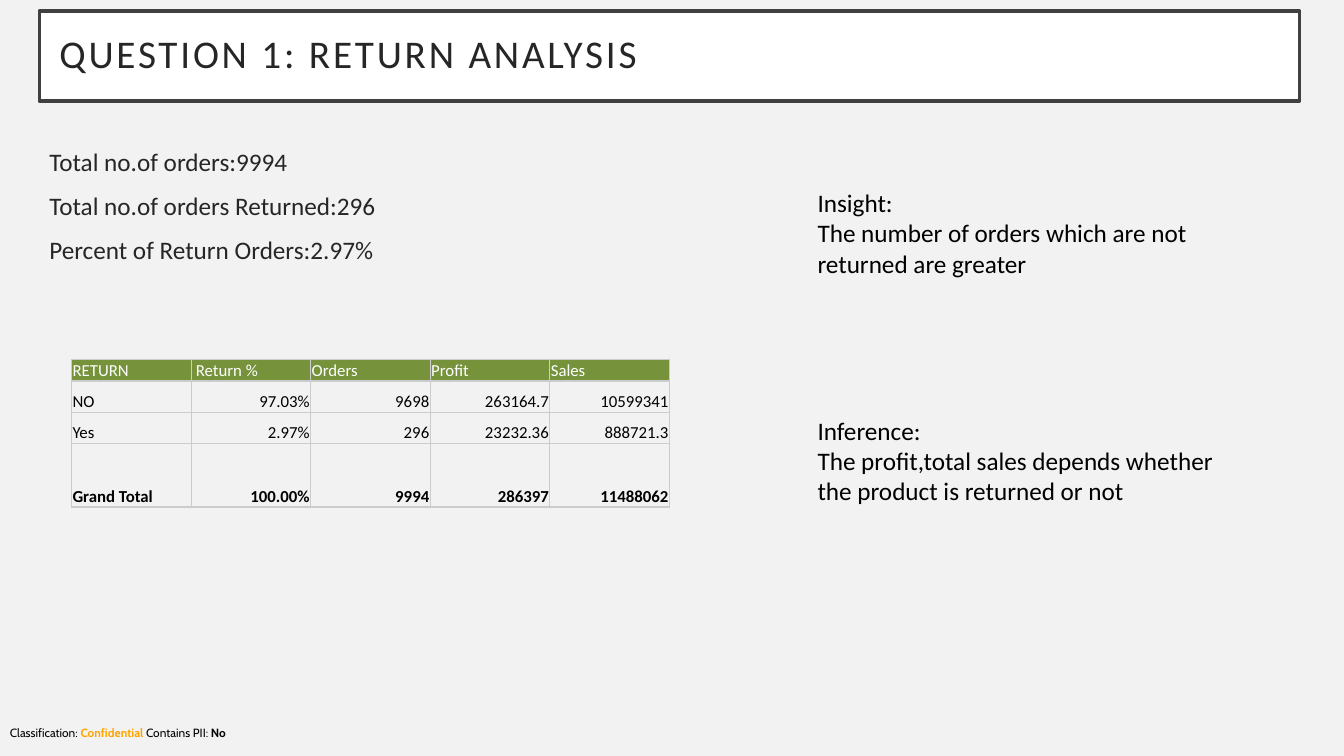
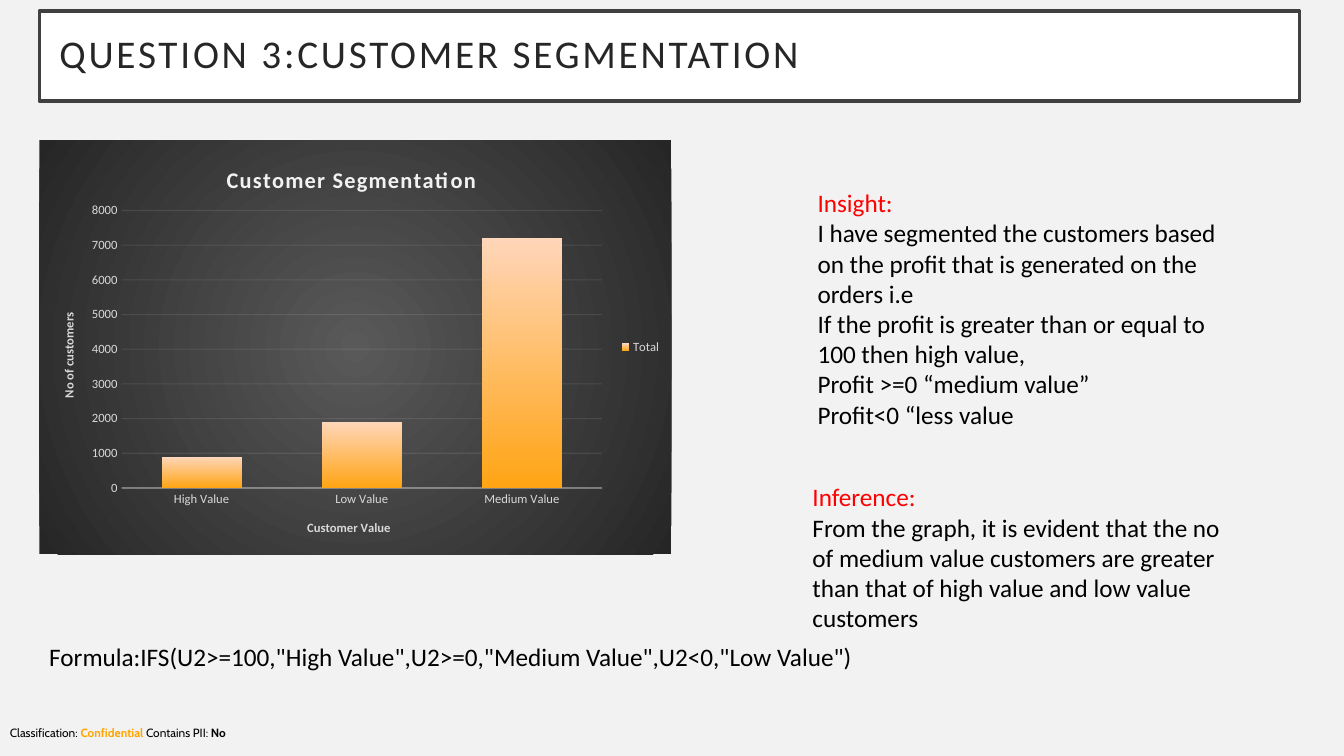
from lxml.etree import SubElement as Sub
from pptx import Presentation
from pptx.chart.data import CategoryChartData as Data
from pptx.dml.color import RGBColor as Rgb
from pptx.enum.chart import XL_CHART_TYPE as Kind, XL_LEGEND_POSITION as Side, XL_TICK_MARK as Tick
from pptx.enum.shapes import MSO_SHAPE as Shape
from pptx.enum.text import MSO_ANCHOR as Anchor, PP_ALIGN as Align
from pptx.oxml import parse_xml
from pptx.oxml.ns import nsdecls, qn
from pptx.util import Inches, Pt

HUES = {
    "page": "F2F2F2", "white": "FFFFFF", "black": "000000", "ink": "262626",
    "frame": "404040", "amber": "FFA500", "red": "FF0000", "green": "76933C",
    "rule": "CCCCCC", "pale": "D9D9D9", "core": "595959", "low": "FFA414", "high": "FFD6B9",
}
BODY = {"name": "Calibri", "size": Pt(18), "hue": "black"}
TITLE = {**BODY, "size": Pt(28), "hue": "ink"}
FOOT = {**BODY, "name": "Cabin", "size": Pt(8.5), "bold": False}
CELL = {**BODY, "size": Pt(12), "bold": False}
LABEL = {**BODY, "size": Pt(9), "hue": "pale", "bold": False}
PAD = dict(zip(("margin_left", "margin_right", "margin_top", "margin_bottom"),
               map(Inches, (0.01, 0.01, 0.01, 0))))


def hue(name):
    """Return a named colour."""
    return Rgb.from_string(HUES[name])


def assign(obj, form):
    """Set attributes from a dict of values."""
    for key, value in form.items():
        setattr(obj, key, value)


def style(font, form):
    """Apply a text style to a font."""
    assign(font, {k: v for k, v in form.items() if k != "hue"})
    font.color.rgb = hue(form["hue"])


def write(para, text, form):
    """Add one styled run to a paragraph."""
    run = para.add_run()
    run.text = text
    style(run.font, form)
    return run


def text_box(slide, box, lines, form=BODY, head=None, gap=0):
    """Add a text box with one paragraph per line and an optional head colour."""
    frame = slide.shapes.add_textbox(*map(Inches, box)).text_frame
    frame.word_wrap = True
    for i, line in enumerate(lines):
        para = frame.paragraphs[0] if i == 0 else frame.add_paragraph()
        para.space_before = Pt(gap if i else 0)
        write(para, line, {**form, "hue": head} if head and i == 0 else form)
    return frame


def title_bar(slide, box, text):
    """Draw the framed title band."""
    bar = slide.shapes.add_shape(Shape.RECTANGLE, *map(Inches, box))
    bar.shadow.inherit = False
    bar.fill.solid()
    bar.fill.fore_color.rgb = hue("white")
    bar.line.color.rgb = hue("frame")
    bar.line.width = Pt(2.5)
    frame = bar.text_frame
    assign(frame, {**dict.fromkeys(PAD, Inches(0.2)),
                   "vertical_anchor": Anchor.MIDDLE, "word_wrap": True})
    para = frame.paragraphs[0]
    assign(para, {"alignment": Align.LEFT, "line_spacing": 0.9})
    run = write(para, text, TITLE)
    run.font._element.set("spc", "200")


def footer(slide, box):
    """Write the classification line."""
    para = text_box(slide, box, ["Classification: "], FOOT).paragraphs[0]
    write(para, "Confidential", {**FOOT, "hue": "amber", "bold": True})
    write(para, " Contains PII: ", FOOT)
    write(para, "No", {**FOOT, "bold": True})


def new_slide(deck, title):
    """Add a slide with the shared ground, footer and title."""
    slide = deck.slides.add_slide(deck.slide_layouts[6])
    footer(slide, (0, 7.15, 13.33, 0.24))
    title_bar(slide, (0.39, 0.11, 12.5, 0.89), title)
    return slide


def border(cell):
    """Rule all four sides of a cell."""
    prop = cell._tc.get_or_add_tcPr()
    for side in "LRTB":
        line = Sub(prop, qn(f"a:ln{side}"), w=str(Pt(1)))
        Sub(Sub(line, qn("a:solidFill")), qn("a:srgbClr"), val=HUES["rule"])


def data_table(slide, box, rows, tall):
    """Add a ruled table with a green head and a bold last row."""
    grid = slide.shapes.add_table(len(rows), len(rows[0]), *map(Inches, box)).table
    assign(grid, {"first_row": False, "horz_banding": False})
    for col in grid.columns:
        col.width = Inches(box[2] / len(rows[0]))
    for r, row in enumerate(rows):
        grid.rows[r].height = Inches(tall[r])
        for c, text in enumerate(row):
            cell = grid.cell(r, c)
            assign(cell, {**PAD, "vertical_anchor": Anchor.BOTTOM})
            border(cell)
            if r == 0:
                cell.fill.solid()
                cell.fill.fore_color.rgb = hue("green")
            else:
                cell.fill.background()
            para = cell.text_frame.paragraphs[0]
            para.alignment = Align.RIGHT if r and c else Align.LEFT
            write(para, text, {**CELL, "hue": "black" if r else "white",
                               "bold": r == len(rows) - 1})


def place(part, index, **spots):
    """Give a chart part a manual layout in fractions of the chart."""
    old = part.find(qn("c:layout"))
    if old is not None:
        part.remove(old)
    inner = "" if index else '<c:layoutTarget val="inner"/>'
    modes = "".join(f'<c:{k}Mode val="edge"/>' for k in "xy")
    sizes = "".join(f'<c:{k} val="{v}"/>' for k, v in spots.items())
    part.insert(index, parse_xml(
        f'<c:layout {nsdecls("c")}><c:manualLayout>{inner}{modes}{sizes}'
        '</c:manualLayout></c:layout>'))


def fade(line, name, width, alpha):
    """Draw a line in a see-through colour."""
    line.color.rgb = hue(name)
    line.width = Pt(width)
    for tone in line._ln.iter(qn("a:srgbClr")):
        Sub(tone, qn("a:alpha"), val=str(alpha * 1000))


def caption(owner, text, form):
    """Title a chart or an axis."""
    frame = (owner.chart_title if hasattr(owner, "chart_title") else owner.axis_title).text_frame
    return write(frame.paragraphs[0], text, form)


def ground(chart):
    """Fill the chart area with a round gradient."""
    stops = "".join(f'<a:gs pos="{pos}"><a:srgbClr val="{HUES[name]}"/></a:gs>'
                    for pos, name in ((0, "core"), (100000, "ink")))
    chart.element.find(qn("c:chart")).addnext(parse_xml(
        f'<c:spPr {nsdecls("c", "a")}><a:gradFill><a:gsLst>{stops}</a:gsLst>'
        '<a:path path="circle"><a:fillToRect l="50000" t="50000" r="50000" b="50000"/>'
        '</a:path></a:gradFill><a:ln><a:noFill/></a:ln></c:spPr>'))


def bar_chart(slide, box, names, values):
    """Add the column chart on its dark ground."""
    data = Data()
    data.categories = names
    data.add_series("Total", values)
    chart = slide.shapes.add_chart(Kind.COLUMN_CLUSTERED, *map(Inches, box), data).chart
    style(chart.font, LABEL)
    ground(chart)
    plot = chart.plots[0]
    assign(plot, {"gap_width": 100, "overlap": -24, "vary_by_categories": False})
    fill = plot.series[0].format.fill
    fill.gradient()
    fill.gradient_angle = 90
    for stop, name in zip(fill.gradient_stops, ("low", "high")):
        stop.color.rgb = hue(name)

    cat, val = chart.category_axis, chart.value_axis
    bold = {**LABEL, "bold": True}
    run = caption(chart, "Customer Segmentation", {**bold, "size": Pt(16), "hue": "page"})
    run.font._element.set("spc", "100")
    for axis, text in ((cat, "Customer Value"), (val, "No of customers")):
        assign(axis, {"major_tick_mark": Tick.NONE, "minor_tick_mark": Tick.NONE})
        style(axis.tick_labels.font, LABEL)
        caption(axis, text, bold)
    assign(val, {"minimum_scale": 0, "maximum_scale": 8000, "major_unit": 1000})
    fade(cat.format.line, "page", 1, 54)
    fade(val.major_gridlines.format.line, "page", 0.75, 10)
    val.format.line.fill.background()

    chart.has_legend = True
    assign(chart.legend, {"position": Side.RIGHT, "include_in_layout": False})
    style(chart.legend.font, LABEL)
    place(next(chart.element.iter(qn("c:plotArea"))), 0, x=0.13, y=0.17, w=0.76, h=0.67)
    spots = ((0.29, 0.05), (0.42, 0.91), (0.03, 0.41))
    for part, (x, y) in zip(chart.element.iter(qn("c:title")), spots):
        place(part, 1, x=x, y=y)


def returns(deck):
    """Build the return analysis slide."""
    slide = new_slide(deck, "QUESTION 1: RETURN ANALYSIS")
    text_box(slide, (0.39, 1.4, 7.45, 4.32), [
        "Total no.of orders:9994",
        "Total no.of orders Returned:296",
        "Percent of Return Orders:2.97%",
    ], {**BODY, "hue": "ink"}, gap=10)
    text_box(slide, (8.01, 1.81, 4.32, 1.31), [
        "Insight:", "The number of orders which are not returned are greater"])
    text_box(slide, (8.01, 4.07, 4.32, 1.62), [
        "Inference:", "The profit,total sales depends whether the product is returned or not"])
    data_table(slide, (0.71, 3.57, 5.93, 1.46), [
        ("RETURN", " Return %", "Orders", "Profit", "Sales"),
        ("NO", "97.03%", "9698", "263164.7", "10599341"),
        ("Yes", "2.97%", "296", "23232.36", "888721.3"),
        ("Grand Total", "100.00%", "9994", "286397", "11488062"),
    ], (0.21, 0.31, 0.31, 0.63))


def segments(deck):
    """Build the customer segmentation slide."""
    slide = new_slide(deck, "QUESTION 3:CUSTOMER SEGMENTATION")
    text_box(slide, (8.01, 1.81, 4.32, 2.83), [
        "Insight:",
        "I have segmented the customers based on the profit that is generated on the orders i.e",
        "If the profit is greater than or equal to 100 then high value,",
        "Profit >=0 “medium value”",
        "Profit<0 “less value",
    ], head="red")
    text_box(slide, (7.96, 4.73, 4.32, 1.92), [
        "Inference:",
        "From the graph, it is evident that the no of medium value customers are greater "
        "than that of high value and low value customers",
    ], head="red")
    text_box(slide, (0.39, 6.31, 12.06, 0.4), [
        'Formula:IFS(U2>=100,"High Value",U2>=0,"Medium Value",U2<0,"Low Value")'])
    bar_chart(slide, (0.39, 1.39, 6.27, 4.11),
              ("High Value", "Low Value", "Medium Value"), (900, 1900, 7200))


def main():
    """Build and save the deck."""
    deck = Presentation()
    assign(deck, {"slide_width": Inches(13.33), "slide_height": Inches(7.5)})
    fill = deck.slide_master.background.fill
    fill.solid()
    fill.fore_color.rgb = hue("page")
    returns(deck)
    segments(deck)
    deck.save("out.pptx")


if __name__ == "__main__":
    main()
